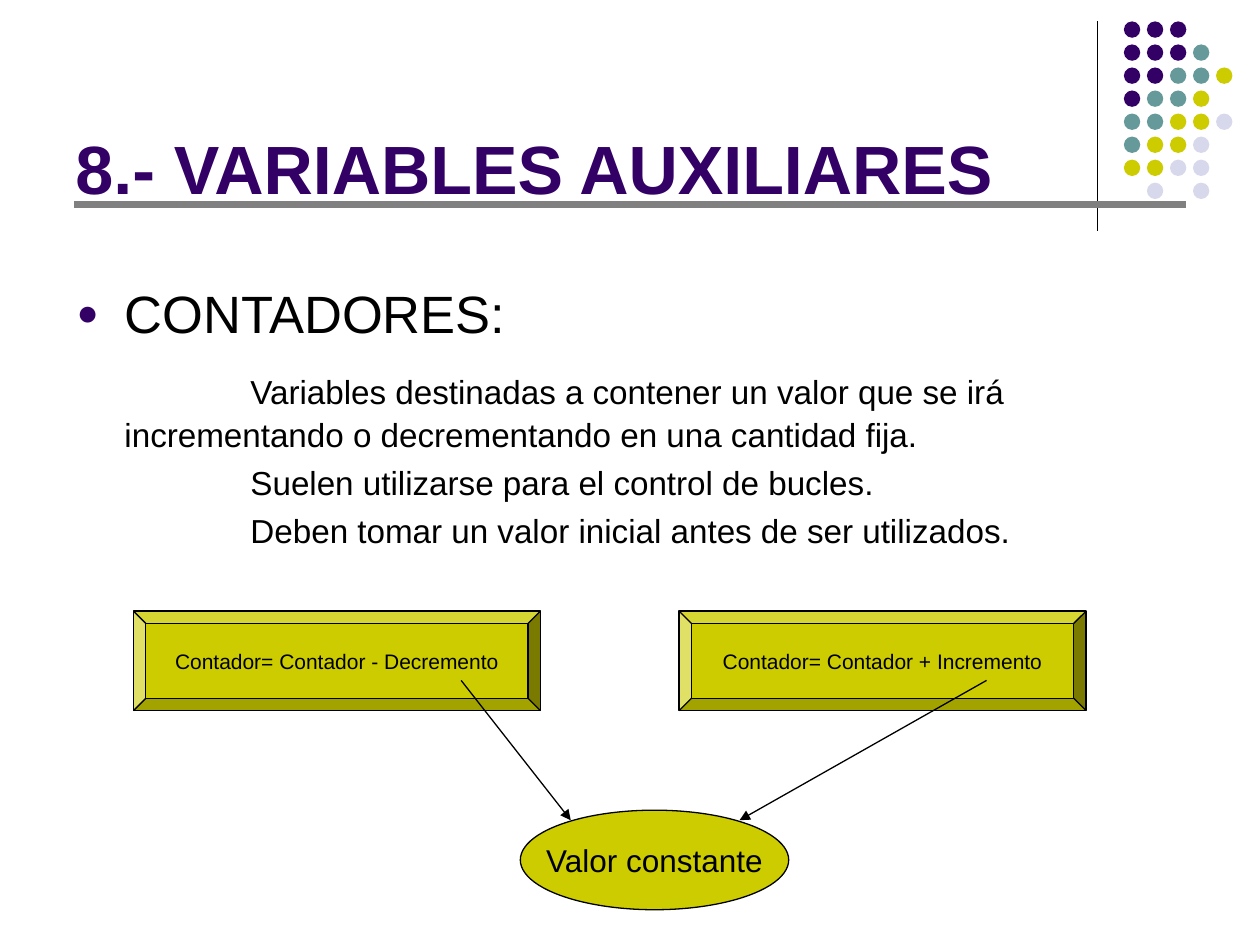
from dataclasses import dataclass

from pptx import Presentation
from pptx.dml.color import RGBColor
from pptx.enum.shapes import MSO_CONNECTOR, MSO_SHAPE
from pptx.enum.text import MSO_ANCHOR, PP_ALIGN
from pptx.oxml.ns import qn
from pptx.util import Inches, Pt
from lxml import etree

ELLIPSE, BEVEL = MSO_SHAPE.OVAL, MSO_SHAPE.BEVEL
STRAIGHT = MSO_CONNECTOR.STRAIGHT
TOP, MIDDLE, BOTTOM = MSO_ANCHOR.TOP, MSO_ANCHOR.MIDDLE, MSO_ANCHOR.BOTTOM
CENTER = PP_ALIGN.CENTER

BLACK = RGBColor(0x00, 0x00, 0x00)
PURPLE = RGBColor(0x33, 0x00, 0x66)
TEAL = RGBColor(0x66, 0x99, 0x99)
OLIVE = RGBColor(0xCC, 0xCC, 0x00)
LAVENDER = RGBColor(0xD8, 0xD8, 0xEC)
GRAY = RGBColor(0x80, 0x80, 0x80)
FONT = "Arial"

# One letter per dot, a dot (.) for a gap
DOT_ROWS = ("PPP", "PPPT", "PPTTO", "PTTO", "TTOOL", "TOOL", "OOLL", ".L.L")
DOT_COLORS = {"P": PURPLE, "T": TEAL, "O": OLIVE, "L": LAVENDER}
DOT_LEFT, DOT_TOP, DOT_SIZE = 8.92, 0.17, 0.13
DOT_PITCH = 1.28 / 7


@dataclass
class Line:
    start: tuple[float, float]
    end: tuple[float, float]
    color: RGBColor = BLACK
    width: float = 0.75
    arrow: bool = False


@dataclass
class Node:
    geometry: int
    left: float
    top: float
    width: float
    height: float
    text: str
    size: float


@dataclass
class BodyLine:
    text: str
    size: float
    first_indent: float
    space_before: float
    line_spacing: float | None = None
    bullet: str = ""


RULES = (
    Line((8.71, 0.17), (8.71, 1.83)),
    Line((0.59, 1.62), (9.41, 1.62), GRAY, 4),
)
BODY = (
    BodyLine("CONTADORES:", 30, -0.38, 7.5, bullet="●"),
    BodyLine("Variables destinadas a contener un valor que se irá incrementando "
             "o decrementando en una cantidad fija.", 19, 1, 13.2, 25),
    BodyLine("Suelen utilizarse para el control de bucles.", 19, 1, 2.4, 25),
    BodyLine("Deben tomar un valor inicial antes de ser utilizados.", 19, 1, 2.4, 25),
)
NODES = (
    Node(BEVEL, 1.06, 4.85, 3.23, 0.79, "Contador= Contador - Decremento", 12),
    Node(BEVEL, 5.39, 4.85, 3.23, 0.79, "Contador= Contador + Incremento", 12),
    Node(ELLIPSE, 4.13, 6.43, 2.13, 0.79, "Valor constante", 18),
)
ARROWS = (
    Line((3.66, 5.4), (4.53, 6.51), arrow=True),
    Line((7.83, 5.4), (5.87, 6.51), arrow=True),
)


def add_run(paragraph, text: str, size: float, color: RGBColor = BLACK,
            bold: bool = False) -> None:
    run = paragraph.add_run()
    run.text = text
    run.font.name = FONT
    run.font.size = Pt(size)
    run.font.bold = bold
    run.font.color.rgb = color


def add_text_frame(slide, left: float, top: float, width: float, height: float,
                   anchor):
    box = slide.shapes.add_textbox(Inches(left), Inches(top),
                                   Inches(width), Inches(height))
    frame = box.text_frame
    frame.word_wrap = True
    frame.vertical_anchor = anchor
    return frame


def draw_line(slide, line: Line) -> None:
    connector = slide.shapes.add_connector(
        STRAIGHT, *(Inches(value) for value in line.start + line.end))
    connector.line.color.rgb = line.color
    connector.line.width = Pt(line.width)
    if line.arrow:
        etree.SubElement(connector.line._get_or_add_ln(), qn("a:tailEnd"),
                         type="triangle")
    etree.SubElement(connector._element.spPr, qn("a:effectLst"))


def draw_dots(slide) -> None:
    for row, letters in enumerate(DOT_ROWS):
        for column, letter in enumerate(letters):
            if letter not in DOT_COLORS:
                continue
            dot = slide.shapes.add_shape(
                ELLIPSE, Inches(DOT_LEFT + column * DOT_PITCH),
                Inches(DOT_TOP + row * DOT_PITCH),
                Inches(DOT_SIZE), Inches(DOT_SIZE))
            dot.shadow.inherit = False
            dot.fill.solid()
            dot.fill.fore_color.rgb = DOT_COLORS[letter]
            dot.line.fill.background()


def draw_node(slide, node: Node) -> None:
    shape = slide.shapes.add_shape(
        node.geometry, Inches(node.left), Inches(node.top),
        Inches(node.width), Inches(node.height))
    shape.shadow.inherit = False
    if node.geometry == BEVEL:
        shape.adjustments[0] = 0.124
    shape.fill.solid()
    shape.fill.fore_color.rgb = OLIVE
    shape.line.color.rgb = BLACK
    shape.line.width = Pt(0.75)
    frame = shape.text_frame
    frame.word_wrap = False
    frame.vertical_anchor = MIDDLE
    paragraph = frame.paragraphs[0]
    paragraph.alignment = CENTER
    add_run(paragraph, node.text, node.size)


def write_body_line(paragraph, line: BodyLine) -> None:
    paragraph.space_before = Pt(line.space_before)
    if line.line_spacing:
        paragraph.line_spacing = Pt(line.line_spacing)
    properties = paragraph._p.get_or_add_pPr()
    properties.set("marL", str(Inches(0.38)))
    properties.set("indent", str(Inches(line.first_indent)))
    if line.bullet:
        bullet_color = etree.SubElement(properties, qn("a:buClr"))
        etree.SubElement(bullet_color, qn("a:srgbClr"), val=str(PURPLE))
        etree.SubElement(properties, qn("a:buSzPct"), val="70000")
        etree.SubElement(properties, qn("a:buFont"), typeface=FONT)
        etree.SubElement(properties, qn("a:buChar"), char=line.bullet)
    add_run(paragraph, line.text, line.size)


def main() -> None:
    deck = Presentation()
    deck.slide_width, deck.slide_height = Inches(10), Inches(7.5)
    slide = deck.slides.add_slide(deck.slide_layouts[6])

    # Corner decoration and title rules
    vertical_rule, title_rule = RULES
    draw_line(slide, vertical_rule)
    draw_dots(slide)
    draw_line(slide, title_rule)

    # Title
    title = add_text_frame(slide, 0.5, 0.13, 8.25, 1.57, BOTTOM)
    add_run(title.paragraphs[0], "8.- VARIABLES AUXILIARES", 39, PURPLE, True)

    # Explanation of counters
    body = add_text_frame(slide, 0.51, 2.18, 9, 5.12, TOP)
    for index, line in enumerate(BODY):
        paragraph = body.add_paragraph() if index else body.paragraphs[0]
        write_body_line(paragraph, line)

    # Counter formulas pointing at the constant value
    for node in NODES[:2]:
        draw_node(slide, node)
    for arrow in ARROWS:
        draw_line(slide, arrow)
    draw_node(slide, NODES[2])

    deck.save("out.pptx")


if __name__ == "__main__":
    main()
